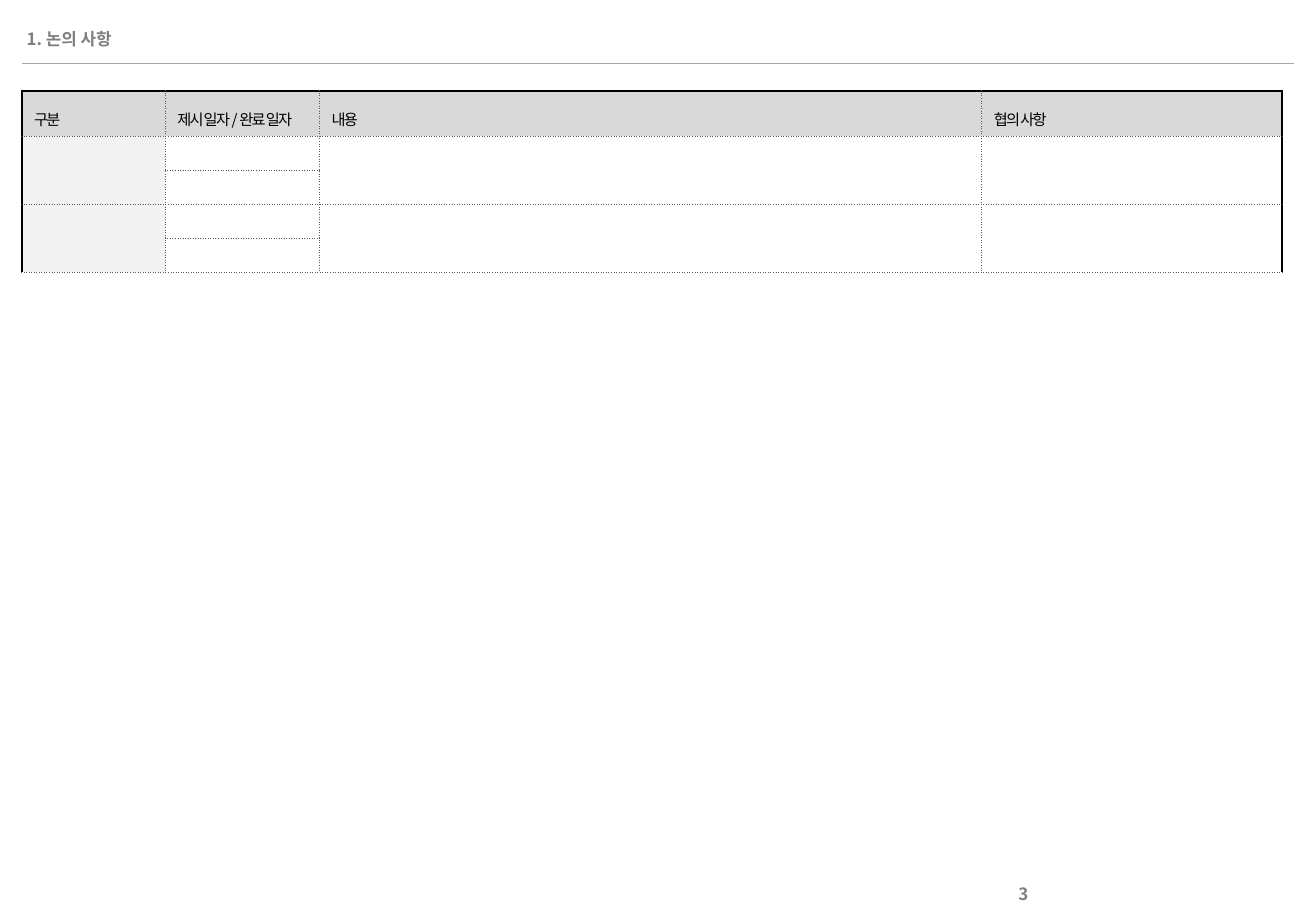
from dataclasses import dataclass

from lxml import etree
from pptx import Presentation
from pptx.dml.color import RGBColor
from pptx.enum import shapes, text
from pptx.oxml import ns
from pptx.util import Inches, Pt

FONT = "Noto Sans CJK KR"
COLORS = {
    "heading": "7F7F7F",
    "rule": "A6A6A6",
    "text": "000000",
    "frame": "000000",
    "grid": "595959",
    "header": "D9D9D9",
    "category": "F2F2F2",
    "body": "FFFFFF",
}
HEADERS = ["구분", "제시 일자 / 완료 일자", "내용", "협의 사항"]
COLUMN_WIDTHS = [1.18, 1.27, 5.45, 2.47]
ROW_HEIGHTS = [0.37] + [0.28] * 4
DATE_COLUMN = 1


@dataclass(frozen=True)
class Label:
    words: str
    left: float
    top: float
    width: float
    height: float
    inset: float
    align: text.PP_ALIGN


LABELS = [
    Label("3", 7.91, 7.22, 0.65, 0.27, 0.1, text.PP_ALIGN.RIGHT),
    Label("1. 논의 사항", 0.18, 0.16, 10.34, 0.31, 0.04, text.PP_ALIGN.LEFT),
]


def color(name: str) -> RGBColor:
    return RGBColor.from_string(COLORS[name])


def add_span(para, words: str, size: float, color_name: str, bold: bool = False):
    span = para.add_run()
    span.text = words
    span.font.size = Pt(size)
    span.font.bold = bold
    span.font.name = FONT
    span.font.color.rgb = color(color_name)
    etree.SubElement(span.font._element, ns.qn("a:ea"), typeface=FONT)
    return span


def add_label(page, label: Label) -> None:
    box = page.shapes.add_textbox(*map(Inches, (label.left, label.top, label.width, label.height)))
    frame = box.text_frame
    frame.word_wrap = True
    frame.vertical_anchor = text.MSO_ANCHOR.MIDDLE
    frame.margin_left = frame.margin_right = Inches(label.inset)
    para = frame.paragraphs[0]
    para.alignment = label.align
    add_span(para, label.words, 10, "heading", bold=True)


def add_rule(page) -> None:
    rule = page.shapes.add_connector(
        shapes.MSO_CONNECTOR.STRAIGHT, Inches(10.65), Inches(0.52), Inches(0.18), Inches(0.52))
    rule.line.color.rgb = color("rule")
    rule.line.width = Pt(0.75)
    etree.SubElement(rule._element.spPr, ns.qn("a:effectLst"))


def set_borders(cell, framed: str) -> None:
    """Give the sides named in framed a solid line and the others a dotted one."""
    properties = cell._tc.get_or_add_tcPr()
    for side in "LRTB":
        solid = side in framed
        line = etree.SubElement(properties, ns.qn(f"a:ln{side}"), w=str(Pt(1 if solid else 0.5)))
        fill = etree.SubElement(line, ns.qn("a:solidFill"))
        etree.SubElement(fill, ns.qn("a:srgbClr"), val=COLORS["frame" if solid else "grid"])
        etree.SubElement(line, ns.qn("a:prstDash"), val="solid" if solid else "sysDot")


def style_cell(cell, row: int, column: int) -> None:
    framed = "T" if row == 0 else ""
    framed += {0: "L", len(HEADERS) - 1: "R"}.get(column, "")
    set_borders(cell, framed)
    cell.fill.solid()
    fill_name = "header" if row == 0 else "category" if column == 0 else "body"
    cell.fill.fore_color.rgb = color(fill_name)
    cell.vertical_anchor = text.MSO_ANCHOR.MIDDLE
    para = cell.text_frame.paragraphs[0]
    if row == 0:
        para.line_spacing = 1.5
        span = add_span(para, HEADERS[column], 9, "text")
        span.font._element.set("spc", "-100")
    else:
        etree.SubElement(para._p, ns.qn("a:endParaRPr"), sz="800")


def add_discussion_table(page) -> None:
    table = page.shapes.add_table(
        len(ROW_HEIGHTS), len(HEADERS), Inches(0.18), Inches(0.75),
        Inches(sum(COLUMN_WIDTHS)), Inches(sum(ROW_HEIGHTS))).table
    table.first_row = table.horz_banding = False
    for column, width in enumerate(COLUMN_WIDTHS):
        table.columns[column].width = Inches(width)
    for row, height in enumerate(ROW_HEIGHTS):
        table.rows[row].height = Inches(height)
        for column in range(len(HEADERS)):
            style_cell(table.cell(row, column), row, column)
    for row in range(1, len(ROW_HEIGHTS), 2):
        for column in range(len(HEADERS)):
            if column != DATE_COLUMN:
                table.cell(row, column).merge(table.cell(row + 1, column))


def main() -> None:
    deck = Presentation()
    deck.slide_width, deck.slide_height = Inches(10.83), Inches(7.5)
    page = deck.slides.add_slide(deck.slide_layouts[6])
    add_rule(page)
    for label in LABELS:
        add_label(page, label)
    add_discussion_table(page)
    deck.save("out.pptx")


if __name__ == "__main__":
    main()
